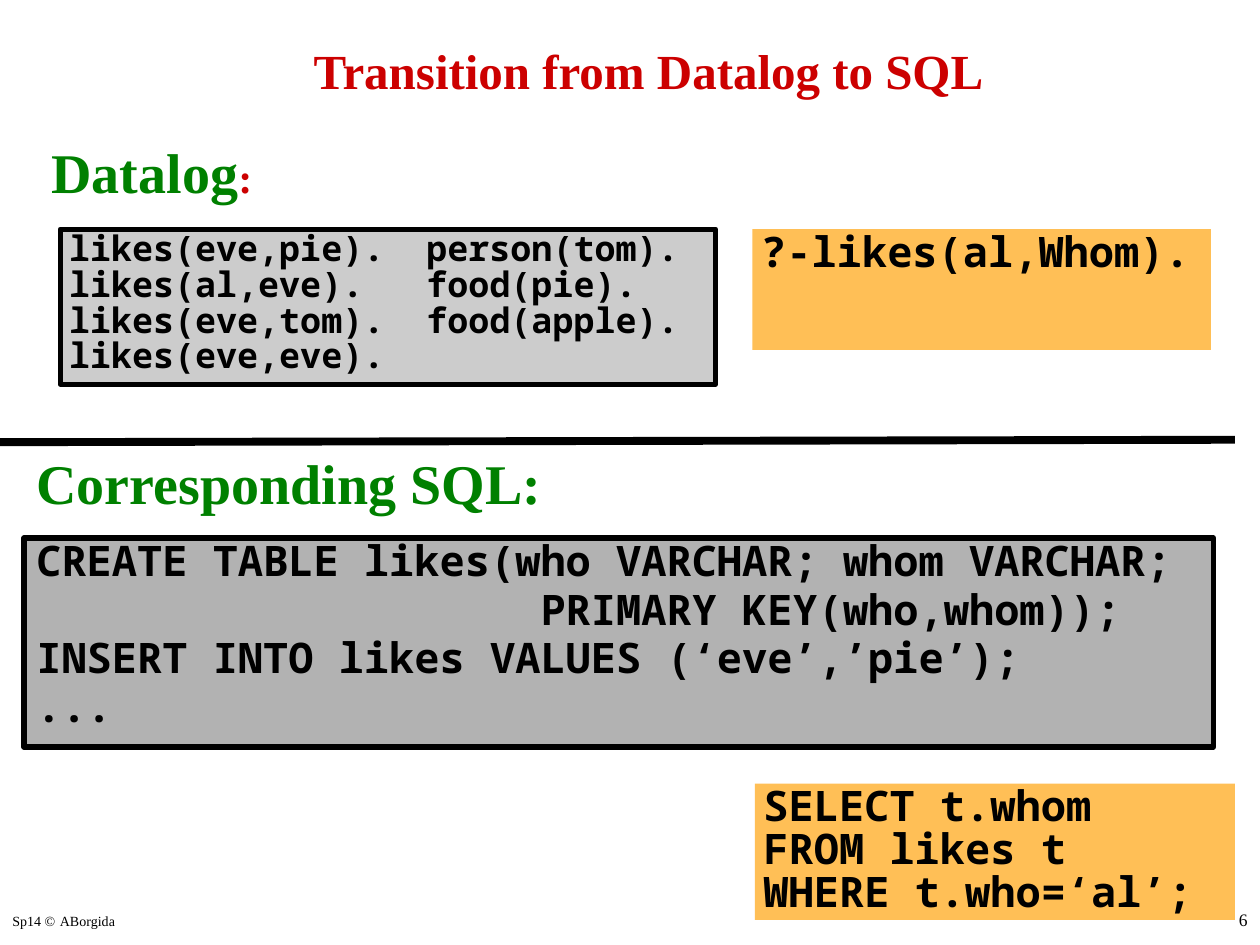
"""Build the slide that compares Datalog facts and queries with SQL."""
from lxml import etree
from pptx import Presentation
from pptx import util as u
from pptx.dml.color import RGBColor
from pptx.enum import shapes, text
from pptx.oxml.ns import qn

Pt = u.Pt
COLORS = {"black": "000000", "red": "CC0000", "green": "008000",
          "orange": "FFBF56", "light": "CCCCCC", "gray": "B2B2B2"}
SERIF, MONO = "Times New Roman", "Noto Sans Mono"


def write(box, lines, font=SERIF, bold=False, align=text.PP_ALIGN.LEFT, anchor=text.MSO_ANCHOR.TOP,
          inset=(7.2, 3.6), spacing=None, before=0, wrap=True):
    """Fill a shape with lines, each a list of (words, size, color) runs."""
    frame = box.text_frame
    frame.word_wrap = wrap
    frame.vertical_anchor = anchor
    frame.margin_left = frame.margin_right = Pt(inset[0])
    frame.margin_top = frame.margin_bottom = Pt(inset[1])
    for index, runs in enumerate(lines):
        para = frame.add_paragraph() if index else frame.paragraphs[0]
        para.alignment = align
        para.line_spacing = spacing
        para.space_before = Pt(before if index else 0)
        for words, size, color in runs:
            span = para.add_run()
            span.text = words
            span.font.name, span.font.size, span.font.bold = font, Pt(size), bold
            span.font.color.rgb = RGBColor.from_string(COLORS[color])


deck = Presentation()
deck.slide_width, deck.slide_height = Pt(720), Pt(540)
page = deck.slides.add_slide(deck.slide_layouts[5])

title = page.shapes.title
title.left, title.top, title.width, title.height = Pt(34.5), Pt(9.5), Pt(672), Pt(61)
write(title, [[("Transition from Datalog to SQL", 28, "red")]], bold=True,
      align=text.PP_ALIGN.CENTER, anchor=text.MSO_ANCHOR.MIDDLE)

labels = [
    ((0, 516, 150, 24), [("Sp14 ©", 8, "black"), (" ", 10, "black"), ("ABorgida", 8, "black")],
     {}),
    ((570, 516, 150, 24), [("6", 10, "black")], {"align": text.PP_ALIGN.RIGHT}),
    ((22.3, 75, 130.3, 46), [("Datalog", 32, "green"), (":", 24, "red")],
     {"bold": True, "wrap": False}),
    ((13.7, 252.7, 306, 46), [("Corresponding SQL:", 32, "green")],
     {"bold": True, "wrap": False}),
]
for place, runs, style in labels:
    write(page.shapes.add_textbox(*map(Pt, place)), [runs], **style)

tight = {"inset": (5, 2.2), "spacing": 0.85}
panels = [
    ((430, 131, 262, 69), "orange", False, 24, ["?-likes(al,Whom)."], tight),
    ((13.7, 307.4, 679.7, 119.5), "gray", True, 24,
     ["CREATE TABLE likes(who VARCHAR; whom VARCHAR;",
      "                    PRIMARY KEY(who,whom));",
      "INSERT INTO likes VALUES (‘eve’,’pie’);",
      "..."], {"spacing": 0.8, "before": 4.8}),
    ((431.3, 447.8, 274.3, 77.8), "orange", False, 24,
     ["SELECT t.whom", "FROM likes t", "WHERE t.who=‘al’;"], tight),
    ((34.5, 131, 374.4, 88.6), "light", True, 20,
     ["likes(eve,pie).  person(tom).",
      "likes(al,eve).   food(pie).",
      "likes(eve,tom).  food(apple).",
      "likes(eve,eve)."], tight),
]
for place, fill, framed, size, code, style in panels:
    panel = page.shapes.add_shape(shapes.MSO_SHAPE.RECTANGLE, *map(Pt, place))
    panel.shadow.inherit = False
    panel.fill.solid()
    panel.fill.fore_color.rgb = RGBColor.from_string(COLORS[fill])
    if framed:
        panel.line.color.rgb = RGBColor.from_string(COLORS["black"])
        panel.line.width = Pt(3)
    else:
        panel.line.fill.background()
    write(panel, [[(line, size, "black")] for line in code], font=MONO, bold=True, **style)

divider = page.shapes.add_connector(shapes.MSO_CONNECTOR.STRAIGHT,
                                    Pt(0), Pt(252.7), Pt(705.6), Pt(251.3))
divider.line.color.rgb = RGBColor.from_string(COLORS["black"])
divider.line.width = Pt(4.5)
etree.SubElement(divider._element.spPr, qn("a:effectLst"))

deck.save("out.pptx")
